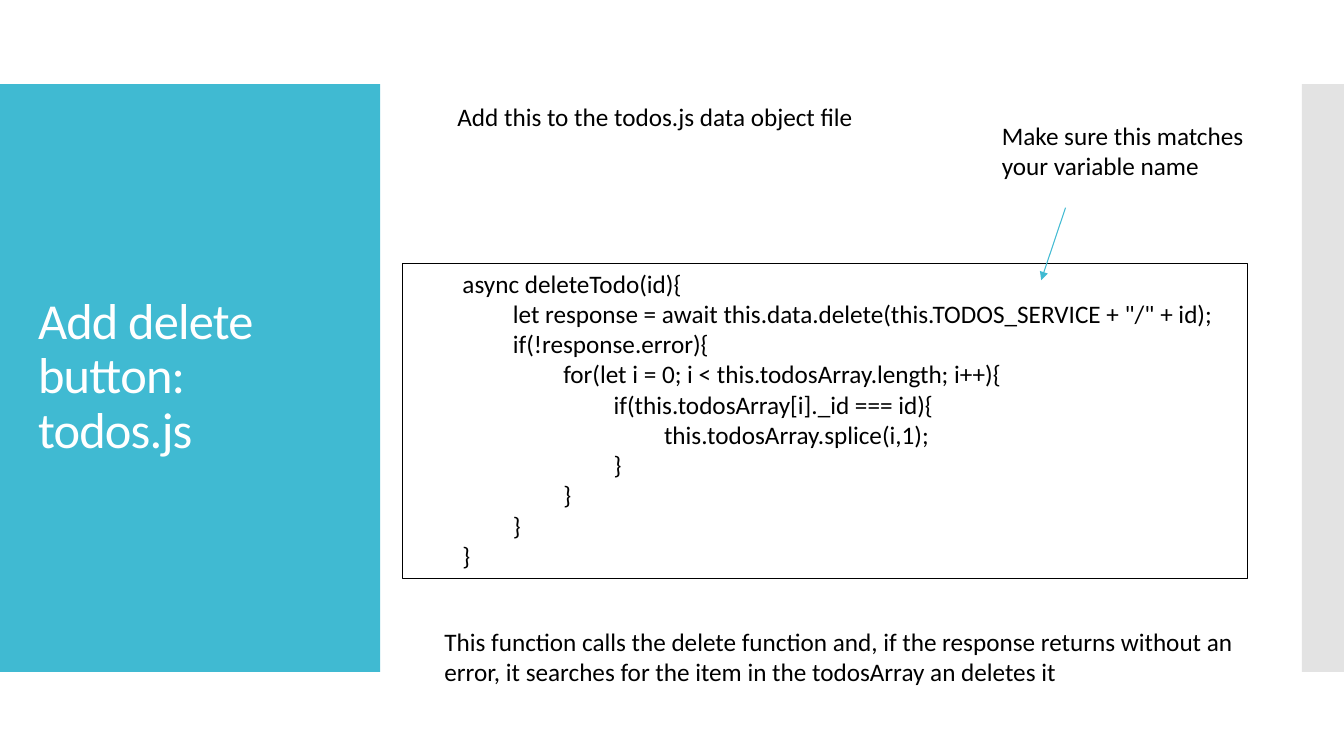
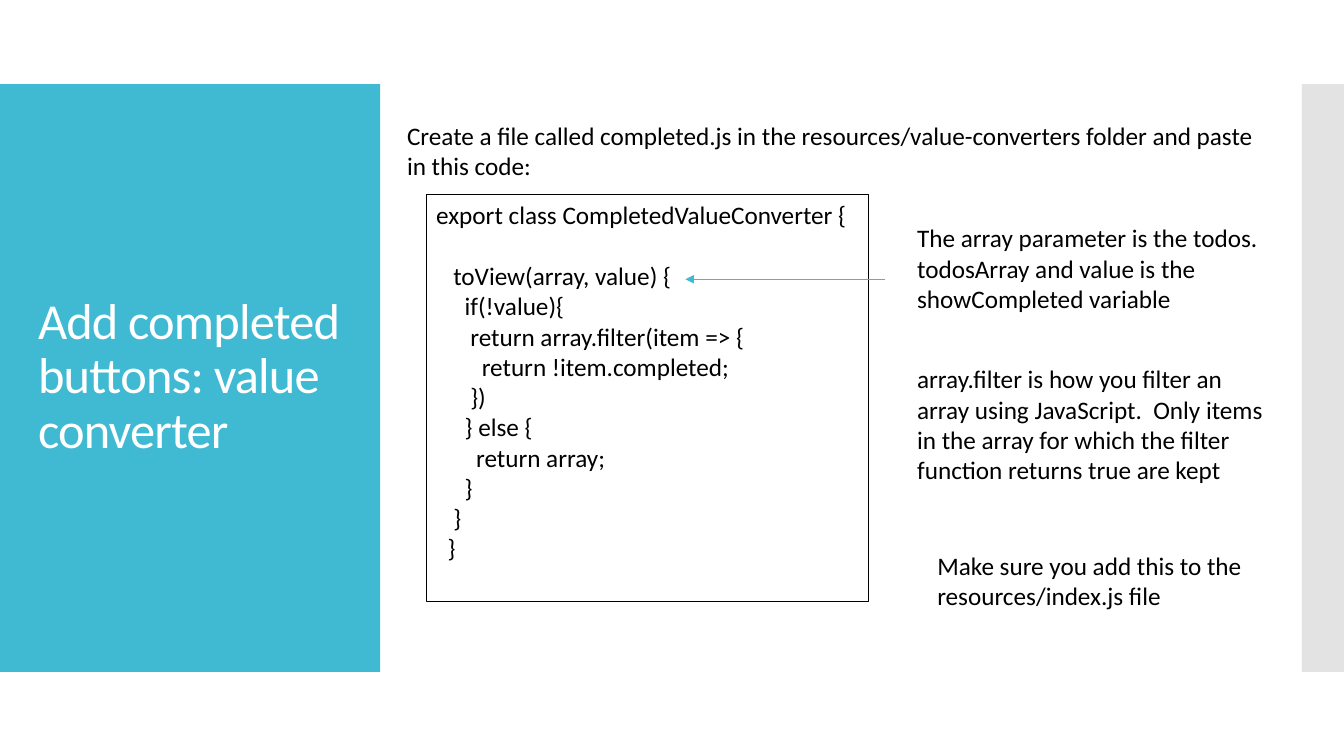
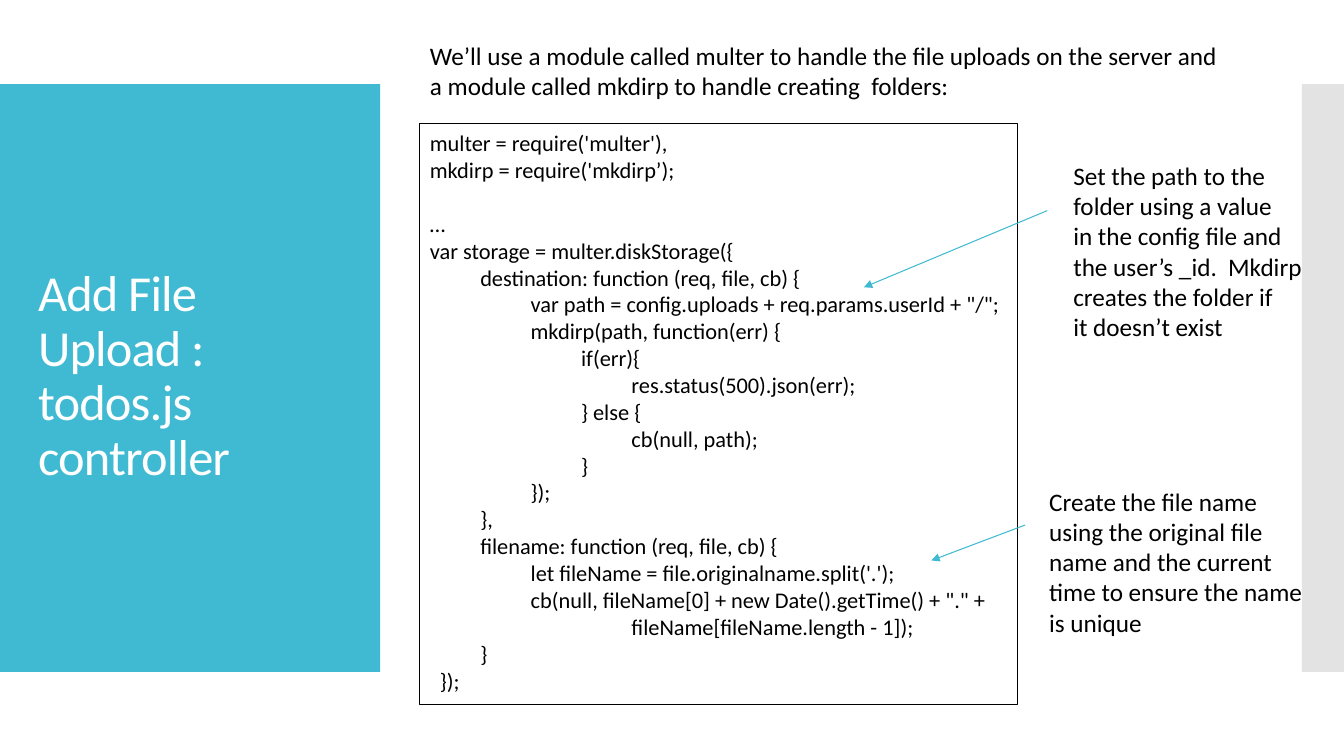
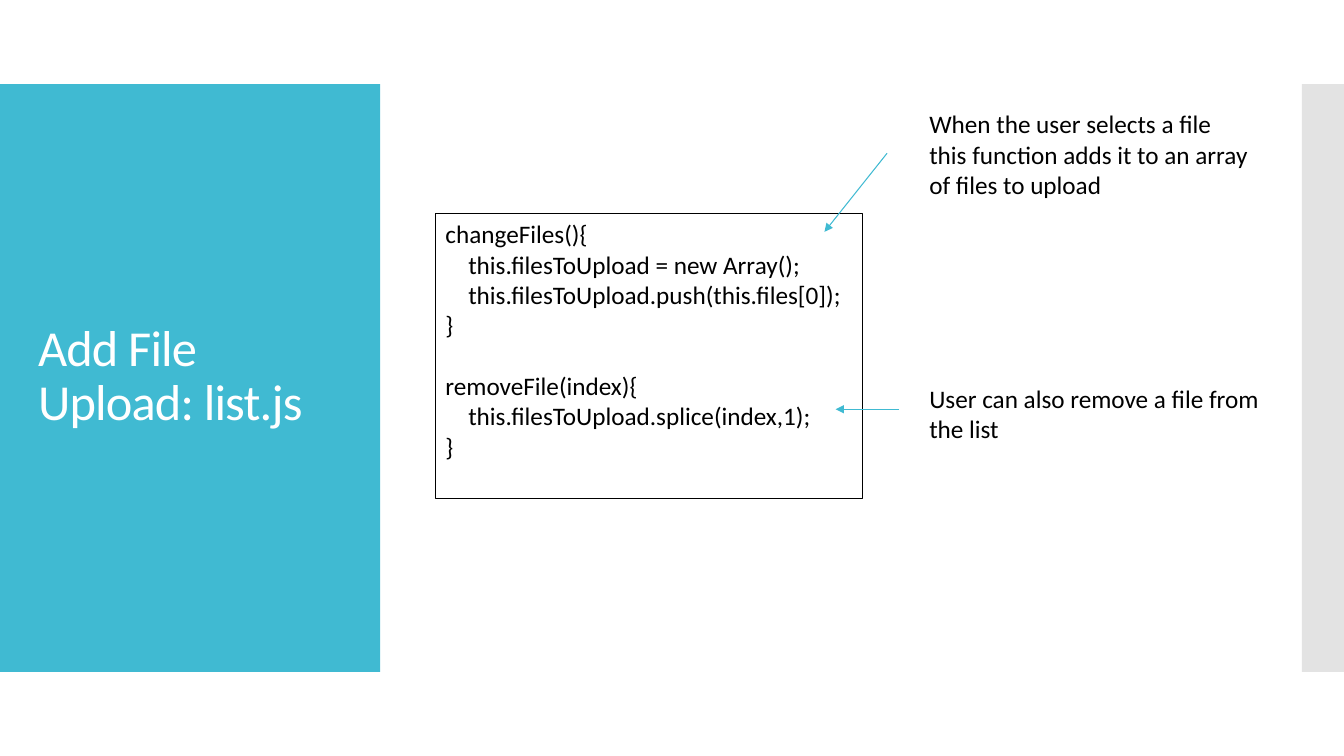
import pptx
import pptx.dml.color
import pptx.enum.shapes
import pptx.enum.text
import pptx.oxml.ns
import pptx.util
from lxml import etree

# Shared grid: 64 columns by 36 rows of square cells
WIDTH, HEIGHT = pptx.util.Inches(13.333), pptx.util.Inches(7.5)
CELL = HEIGHT / 36
NOTE_LINE, NOTE_PADDING = 1.46, 0.48  # rows

# Shared look
COLORS = {"accent": "40BAD2", "strip": "E3E3E3", "text": "000000", "title": "FFFFFF"}
FONT = "Calibri"
LINE_HEIGHT = 1.22
TAB = 36  # points
SPACE = 4.07  # points
ANCHOR = pptx.enum.text.MSO_ANCHOR
BODY_FRAME = {"word_wrap": True, "vertical_anchor": ANCHOR.TOP, "margin_right": 0}
TITLE_FRAME = {"word_wrap": True, "vertical_anchor": ANCHOR.MIDDLE}


def cells(*counts):
    return [round(count * CELL) for count in counts]


def color(name):
    return pptx.dml.color.RGBColor.from_string(COLORS[name])


def apply(target, values):
    for attribute, value in values.items():
        setattr(target, attribute, value)


def style_font(font, size, color_name):
    apply(font, {"name": FONT, "size": pptx.util.Pt(size)})
    font.color.rgb = color(color_name)


def add_rectangle(slide, area, fill=None, outline=None):
    rectangle = slide.shapes.add_shape(
        pptx.enum.shapes.MSO_SHAPE.RECTANGLE, *cells(*area))
    rectangle.shadow.inherit = False
    if fill:
        rectangle.fill.solid()
        rectangle.fill.fore_color.rgb = color(fill)
    else:
        rectangle.fill.background()
    if outline:
        rectangle.line.color.rgb = color(outline)
        rectangle.line.width = pptx.util.Pt(0.75)
    else:
        rectangle.line.fill.background()
    return rectangle


def add_text(slide, area, text, size, color_name, frame_format):
    frame = slide.shapes.add_textbox(*cells(*area)).text_frame
    apply(frame, frame_format)
    paragraph = frame.paragraphs[0]
    paragraph.text = text
    for run in paragraph.runs:
        style_font(run.font, size, color_name)
    return paragraph


def add_titled_slide(deck, title):
    """Start a slide with the side bands and the title."""
    slide = deck.slides.add_slide(deck.slide_layouts[6])
    add_rectangle(slide, (0, 4, 18.1, 28), fill="accent")
    add_rectangle(slide, (62, 4, 2, 28), fill="strip")
    heading = add_text(slide, (1.34, 5.9, 15.46, 24.14), title, 36, "title", TITLE_FRAME)
    heading.line_spacing = 0.9
    for run in heading.runs:
        run.font._element.set("spc", "-60")
    return slide


def add_note(slide, left, top, width, *lines):
    height = NOTE_LINE * len(lines) + NOTE_PADDING
    add_text(slide, (left, top, width, height), "\n".join(lines), 18, "text", BODY_FRAME)


def add_code(slide, area, lines, step, size=18):
    """Outlined listing of (indent level, code); None leaves a one-line gap."""
    frame = add_rectangle(slide, area, outline="text").text_frame
    apply(frame, BODY_FRAME)
    paragraph, gap = frame.paragraphs[0], 0
    for line in lines:
        if line is None:
            gap = size * LINE_HEIGHT
            continue
        level, code = line
        if paragraph.runs:
            paragraph = frame.add_paragraph()
        apply(paragraph, {"alignment": pptx.enum.text.PP_ALIGN.LEFT,
                          "space_before": pptx.util.Pt(gap)})
        paragraph._p.get_or_add_pPr().set("marL", str(pptx.util.Pt(level * step)))
        run = paragraph.add_run()
        run.text = code
        style_font(run.font, size, "text")
        gap = 0


def add_arrow(slide, start, end):
    arrow = slide.shapes.add_connector(
        pptx.enum.shapes.MSO_CONNECTOR.STRAIGHT, *cells(*start, *end))
    arrow.line.color.rgb = color("accent")
    arrow.line.width = pptx.util.Pt(0.75)
    qn = pptx.oxml.ns.qn
    etree.SubElement(arrow.line._get_or_add_ln(), qn("a:tailEnd"), type="triangle")
    etree.SubElement(arrow._element.spPr, qn("a:effectLst"))


def build_delete_button(deck):
    slide = add_titled_slide(deck, "Add delete button: todos.js")
    add_code(slide, (19.15, 12.53, 40.27, 15.02), [
        (1, "async deleteTodo(id){"),
        (2, 'let response = await this.data.delete(this.TODOS_SERVICE + "/" + id);'),
        (2, "if(!response.error){"),
        (3, "for(let i = 0; i < this.todosArray.length; i++){"),
        (4, "if(this.todosArray[i]._id === id){"),
        (5, "this.todosArray.splice(i,1);"),
        (4, "}"),
        (3, "}"),
        (2, "}"),
        (1, "}"),
    ], TAB)
    add_note(slide, 21.31, 4.61, 20.21, "Add this to the todos.js data object file")
    add_note(slide, 47.23, 5.47, 12.72, "Make sure this matches", "your variable name")
    add_arrow(slide, (50.74, 9.89), (49.58, 13.34))
    add_note(slide, 20.69, 29.57, 39.31,
             "This function calls the delete function and, if the response returns without an",
             "error, it searches for the item in the todosArray an deletes it")


def build_value_converter(deck):
    slide = add_titled_slide(deck, "Add completed buttons: value converter")
    add_note(slide, 18.91, 5.47, 42.05,
             "Create a file called completed.js in the resources/value-converters folder and paste",
             "in this code:")
    add_code(slide, (20.3, 9.26, 21.07, 19.39), [
        (0, "export class CompletedValueConverter {"),
        None,
        (3, "toView(array, value) {"),
        (5, "if(!value){"),
        (6, "return array.filter(item => {"),
        (8, "return !item.completed;"),
        (6, "})"),
        (5, "} else {"),
        (7, "return array;"),
        (5, "}"),
        (3, "}"),
        (2, "}"),
    ], SPACE)
    add_note(slide, 44.16, 25.97, 15.65,
             "Make sure you add this to the", "resources/index.js file")
    add_note(slide, 43.2, 10.37, 17.57, "The array parameter is the todos.",
             "todosArray and value is the", "showCompleted variable")
    add_arrow(slide, (42.14, 13.3), (32.64, 13.3))
    add_note(slide, 43.2, 17.09, 18, "array.filter is how you filter an",
             "array using JavaScript.  Only items",
             "in the array for which the filter", "function returns true are kept")


def build_upload_controller(deck):
    slide = add_titled_slide(deck, "Add File Upload : todos.js controller")
    add_note(slide, 20, 1.68, 38.78,
             "We’ll use a module called multer to handle the file uploads on the server and",
             "a module called mkdirp to handle creating  folders:")
    add_code(slide, (20, 5.9, 28.46, 27.65), [
        (0, "multer = require('multer'),"),
        (0, "mkdirp = require('mkdirp’);"),
        None,
        (0, "…"),
        (0, "var storage = multer.diskStorage({"),
        (1, "destination: function (req, file, cb) {"),
        (2, 'var path = config.uploads + req.params.userId + "/";'),
        (2, "mkdirp(path, function(err) {"),
        (3, "if(err){"),
        (4, "res.status(500).json(err);"),
        (3, "} else {"),
        (4, "cb(null, path);"),
        (3, "}"),
        (2, "});"),
        (1, "},"),
        (1, "filename: function (req, file, cb) {"),
        (2, "let fileName = file.originalname.split('.');"),
        (2, 'cb(null, fileName[0] + new Date().getTime() + "." +'),
        (4, "fileName[fileName.length - 1]);"),
        (1, "}"),
        (0.2, "});"),
    ], TAB, size=16)
    add_note(slide, 50.64, 7.39, 11.86, "Set the path to the", "folder using a value",
             "in the config file and", "the user’s _id.  Mkdirp",
             "creates the folder if", "it doesn’t exist")
    add_arrow(slide, (49.87, 10.03), (41.14, 13.68))
    add_note(slide, 49.49, 22.9, 13.2, "Create the file name", "using the original file",
             "name and the current", "time to ensure the name", "is unique")
    add_arrow(slide, (48.82, 25), (44.35, 26.69))


def build_upload_list(deck):
    slide = add_titled_slide(deck, "Add File Upload: list.js")
    add_code(slide, (20.74, 10.18, 20.35, 13.58), [
        (0, "changeFiles(){"),
        (4, "this.filesToUpload = new Array();"),
        (4, "this.filesToUpload.push(this.files[0]);"),
        (0, "}"),
        None,
        (0, "removeFile(index){"),
        (4, "this.filesToUpload.splice(index,1);"),
        (0, "}"),
    ], SPACE)
    add_note(slide, 43.78, 4.94, 16.42, "When the user selects a file",
             "this function adds it to an array", "of files to upload")
    add_arrow(slide, (42.24, 7.3), (39.26, 11.04))
    add_note(slide, 43.78, 18, 16.94, "User can also remove a file from", "the list")
    add_arrow(slide, (42.82, 19.49), (39.79, 19.49))


def main():
    deck = pptx.Presentation()
    apply(deck, {"slide_width": WIDTH, "slide_height": HEIGHT})
    build_delete_button(deck)
    build_value_converter(deck)
    build_upload_controller(deck)
    build_upload_list(deck)
    deck.save("out.pptx")


main()
